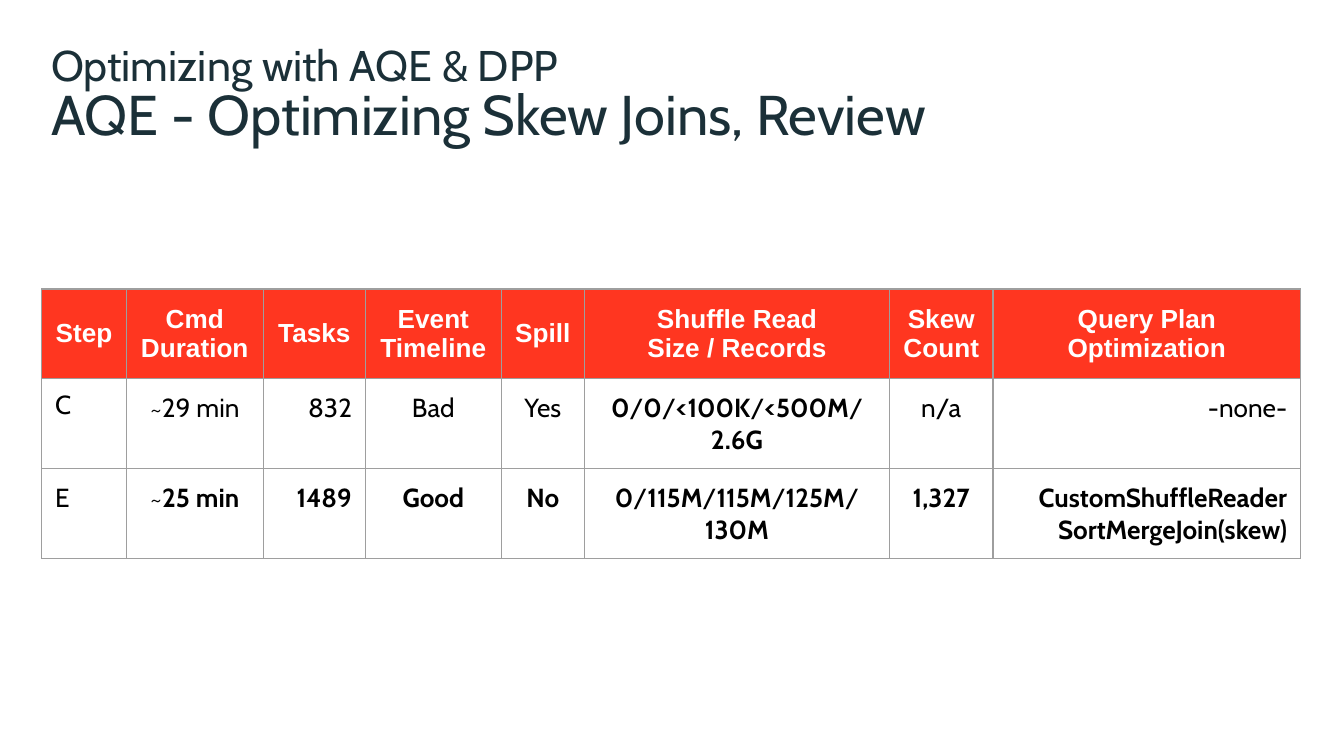
from lxml.etree import SubElement
from pptx import Presentation
from pptx.dml.color import RGBColor
from pptx.enum.text import MSO_ANCHOR, PP_ALIGN
from pptx.oxml.ns import qn
from pptx.util import Inches, Pt

NAVY = RGBColor(0x1B, 0x30, 0x38)
RED = RGBColor(0xFF, 0x36, 0x20)
WHITE = RGBColor(0xFF, 0xFF, 0xFF)
BLACK = RGBColor(0, 0, 0)
GREY = RGBColor(0x9E, 0x9E, 0x9E)

LEFT, CENTER, RIGHT = PP_ALIGN.LEFT, PP_ALIGN.CENTER, PP_ALIGN.RIGHT
COLUMNS = [
    ("Step", 0.63, LEFT),
    ("Cmd\vDuration", 1.02, CENTER),
    ("Tasks", 0.76, RIGHT),
    ("Event Timeline", 1.01, CENTER),
    ("Spill", 0.62, CENTER),
    ("Shuffle Read\vSize / Records", 2.27, CENTER),
    ("Skew Count", 0.77, CENTER),
    ("Query Plan\vOptimization", 2.29, RIGHT),
]
ROWS = [
    ["C", "~29 min", "832", "Bad", "Yes",
     "*0*/*0*/*<100K*/*<500M*/*2.6G*", "n/a", "-none-"],
    ["E", "~*25 min*", "*1489*", "*Good*", "*No*",
     "*0*/*115M*/*115M*/*125M*/*130M*", "*1,327*",
     "*CustomShuffleReader*\n*SortMergeJoin(skew)*"],
]
ROW_HEIGHTS = [0.63, 0.67, 0.67]


def set_font(p, name, size, color, bold=None):
    p.font.name = name
    p.font.size = Pt(size)
    p.font.color.rgb = color
    p.font.bold = bold


def add_heading(s, text, left, top, width, height, size, inset):
    tf = s.shapes.add_textbox(Inches(left), Inches(top), Inches(width), Inches(height)).text_frame
    tf.word_wrap = True
    tf.margin_left = tf.margin_right = 0
    tf.margin_top = tf.margin_bottom = Inches(inset)
    p = tf.paragraphs[0]
    p.text = text
    set_font(p, "Cabin", size, NAVY)


def add_marked_runs(p, text):
    for i, part in enumerate(text.split("*")):
        if part:
            r = p.add_run()
            r.text = part
            r.font.bold = i % 2 == 1


def style_cell(cell, fill):
    tcPr = cell._tc.get_or_add_tcPr()
    for side in ("a:lnL", "a:lnR", "a:lnT", "a:lnB"):
        ln = SubElement(tcPr, qn(side), w=str(Pt(0.75)))
        SubElement(SubElement(ln, qn("a:solidFill")), qn("a:srgbClr"), val=str(GREY))
    cell.fill.solid()
    cell.fill.fore_color.rgb = fill
    cell.margin_left = cell.margin_right = Inches(0.1)
    cell.margin_top = cell.margin_bottom = Inches(0.1)


def add_review_table(s, left, top):
    width = sum(w for _, w, _ in COLUMNS)
    table = s.shapes.add_table(
        len(ROW_HEIGHTS), len(COLUMNS), Inches(left), Inches(top),
        Inches(width), Inches(sum(ROW_HEIGHTS))).table
    for row, height in zip(table.rows, ROW_HEIGHTS):
        row.height = Inches(height)
    for c, (title, col_width, align) in enumerate(COLUMNS):
        table.columns[c].width = Inches(col_width)
        header = table.cell(0, c)
        style_cell(header, RED)
        header.vertical_anchor = MSO_ANCHOR.MIDDLE
        p = header.text_frame.paragraphs[0]
        p.text = title
        p.alignment = CENTER
        set_font(p, "Arial", 14, WHITE, True)
        for r, values in enumerate(ROWS, 1):
            cell = table.cell(r, c)
            style_cell(cell, WHITE)
            tf = cell.text_frame
            for i, line in enumerate(values[c].split("\n")):
                p = tf.add_paragraph() if i else tf.paragraphs[0]
                add_marked_runs(p, line)
                p.alignment = align
                set_font(p, "Cabin", 14, BLACK)
    table.cell(1, 0).text_frame.paragraphs[0].line_spacing = 0.9


def main():
    prs = Presentation()
    prs.slide_width = Inches(10)
    prs.slide_height = prs.slide_width * 9 // 16
    s = prs.slides.add_slide(prs.slide_layouts[6])
    add_heading(s, "Optimizing with AQE & DPP", 0.38, 0.25, 9.61, 0.42, 23, 0.04)
    add_review_table(s, 0.31, 2.15)
    add_heading(s, "AQE - Optimizing Skew Joins, Review", 0.38, 0.59, 9.62, 0.5, 30, 0)
    prs.save("out.pptx")


if __name__ == "__main__":
    main()
